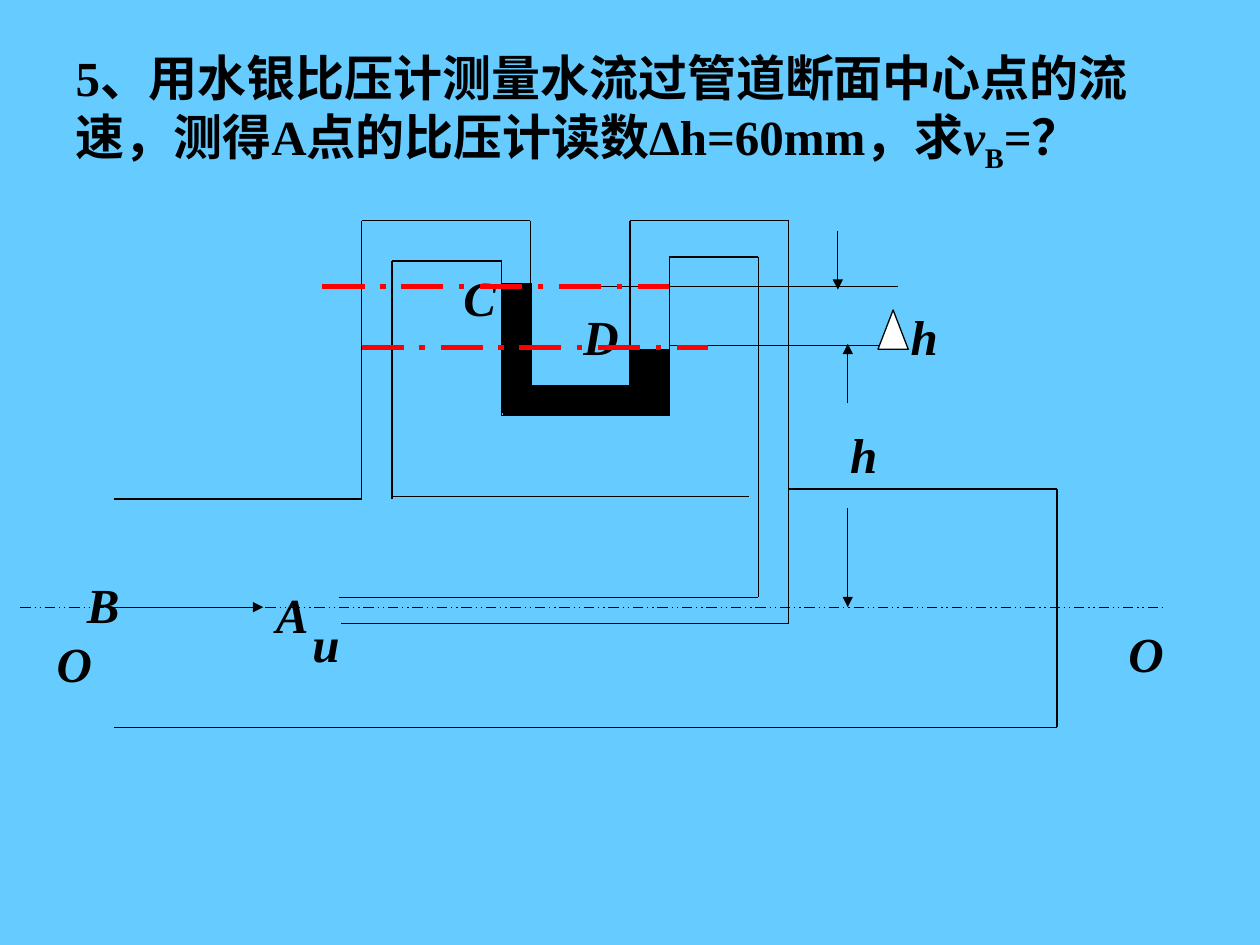
from itertools import pairwise

from pptx import Presentation
from pptx import util as u
from pptx.dml.color import RGBColor
from pptx.enum import dml, shapes, text
from pptx.oxml.ns import qn
from lxml import etree

FONT = "Times New Roman"
BLACK, RED, WHITE, WATER = "000000", "FF0000", "FFFFFF", "66CCFF"

# Levels and edges shared by several parts of the drawing, in cm
AXIS = 12.24
LEFT_WALL, TUBE_TOP = 10.06, 4.45
PIPE_LEFT, PIPE_RIGHT, PIPE_BOTTOM = 2.29, 21.31, 14.66
C_LEVEL, D_LEVEL = 5.77, 6.96
ARROW_X = 17.09

TUBES_AND_PIPE = [
    # left tube, outer wall
    [(PIPE_LEFT, LEFT_WALL), (7.29, LEFT_WALL), (7.29, TUBE_TOP),
     (10.69, TUBE_TOP), (10.69, 7.85)],
    # right tube, outer wall, down to the probe
    [(12.7, 7.85), (12.7, TUBE_TOP), (15.9, TUBE_TOP), (15.9, 12.57),
     (6.88, 12.57)],
    # inner wall of both tubes
    [(7.9, LEFT_WALL), (7.9, 5.26), (10.11, 5.26), (10.11, 8.38),
     (13.49, 8.38), (13.49, 5.18), (15.29, 5.18), (15.29, 12.04),
     (6.83, 12.04)],
    # pipe
    [(7.9, 10.01), (15.09, 10.01)],
    [(15.9, 9.86), (PIPE_RIGHT, 9.86), (PIPE_RIGHT, PIPE_BOTTOM),
     (PIPE_LEFT, PIPE_BOTTOM)],
    # gauge levels
    [(11.91, C_LEVEL), (18.11, C_LEVEL)],
    [(13.49, D_LEVEL), (18.11, D_LEVEL)],
]
ARROWS = [
    [(PIPE_LEFT, AXIS), (5.31, AXIS)],
    [(16.89, 4.65), (16.89, 5.84)],
    [(ARROW_X, 8.13), (ARROW_X, 6.93)],
    [(ARROW_X, 10.24), (ARROW_X, AXIS)],
]
MERCURY = [(10.11, 5.72, 0.61, 2.59), (10.16, 7.77, 3.33, 0.61),
           (12.7, 7.04, 0.79, 0.99)]
LABELS = [("u", 6.05, 12.24), ("A", 5.31, 11.66), ("B", 1.5, 11.46),
          ("C", 9.09, 5.26), ("D", 11.51, 6.05), ("h", 18.11, 6.05),
          ("h", 16.89, 8.43), ("O", 22.5, 12.45), ("O", 0.89, 12.65)]


def rgb(hex_code):
    return RGBColor.from_string(hex_code)


def add_run(paragraph, wording, italic=False, baseline=0):
    """Baseline is a percentage; a negative one gives a subscript."""
    run = paragraph.add_run()
    run.text = wording
    run.font.name, run.font.size = FONT, u.Pt(28)
    run.font.bold, run.font.italic = True, italic
    run.font.color.rgb = rgb(BLACK)
    if baseline:
        run.font._element.set("baseline", str(baseline * 1000))


def add_question(slide):
    question = slide.shapes.title
    question.left, question.top = u.Cm(1.27), u.Cm(0.84)
    question.width, question.height = u.Cm(22.23), u.Cm(2.79)
    frame = question.text_frame
    frame.word_wrap = True
    frame.auto_size = text.MSO_AUTO_SIZE.NONE
    frame.vertical_anchor = text.MSO_ANCHOR.TOP
    paragraph = frame.paragraphs[0]
    paragraph.alignment = text.PP_ALIGN.LEFT
    add_run(paragraph, "5、用水银比压计测量水流过管道断面中心点的流速，"
                       "测得A点的比压计读数Δh=60mm，求")
    add_run(paragraph, "v", italic=True)
    add_run(paragraph, "B", baseline=-25)
    add_run(paragraph, "=？")


def add_line(slide, start, end, color=BLACK, weight=0.75, dash=None, arrow=False):
    line = slide.shapes.add_connector(
        shapes.MSO_CONNECTOR.STRAIGHT, *map(u.Cm, (*start, *end)))
    line.line.color.rgb = rgb(color)
    line.line.width = u.Pt(weight)
    if dash:
        line.line.dash_style = dash
    properties = line._element.spPr
    if arrow:
        etree.SubElement(properties.find(qn("a:ln")), qn("a:tailEnd"), type="triangle")
    etree.SubElement(properties, qn("a:effectLst"))


def add_solid(slide, preset, box, color):
    solid = slide.shapes.add_shape(preset, *map(u.Cm, box))
    solid.shadow.inherit = False
    solid.fill.solid()
    solid.fill.fore_color.rgb = rgb(color)
    solid.line.color.rgb = rgb(BLACK)
    solid.line.width = u.Pt(0.75)


def add_label(slide, letter, left, top):
    label = slide.shapes.add_textbox(*map(u.Cm, (left, top, 1.8, 1.45)))
    label.text_frame.word_wrap = True
    add_run(label.text_frame.paragraphs[0], letter, italic=True)


def main():
    deck = Presentation()
    deck.slide_width, deck.slide_height = u.Cm(25.4), u.Cm(19.05)
    slide = deck.slides.add_slide(deck.slide_layouts.get_by_name("Title Only"))
    slide.background.fill.solid()
    slide.background.fill.fore_color.rgb = rgb(WATER)

    add_question(slide)
    for outline in TUBES_AND_PIPE:
        for start, end in pairwise(outline):
            add_line(slide, start, end)
    for start, end in ARROWS:
        add_line(slide, start, end, arrow=True)
    for box in MERCURY:
        add_solid(slide, shapes.MSO_SHAPE.RECTANGLE, box, BLACK)
    add_solid(slide, shapes.MSO_SHAPE.ISOSCELES_TRIANGLE,
              (17.7, 6.25, 0.61, 0.79), WHITE)
    add_line(slide, (0.41, AXIS), (23.5, AXIS),
             dash=dml.MSO_LINE.DASH_DOT_DOT)
    for label in LABELS:
        add_label(slide, *label)
    for left, level in [(7.29, 7.01), (6.5, C_LEVEL)]:
        add_line(slide, (left, level), (left + 6.99, level), RED, 3,
                 dml.MSO_LINE.LONG_DASH_DOT)

    deck.save("out.pptx")


if __name__ == "__main__":
    main()
